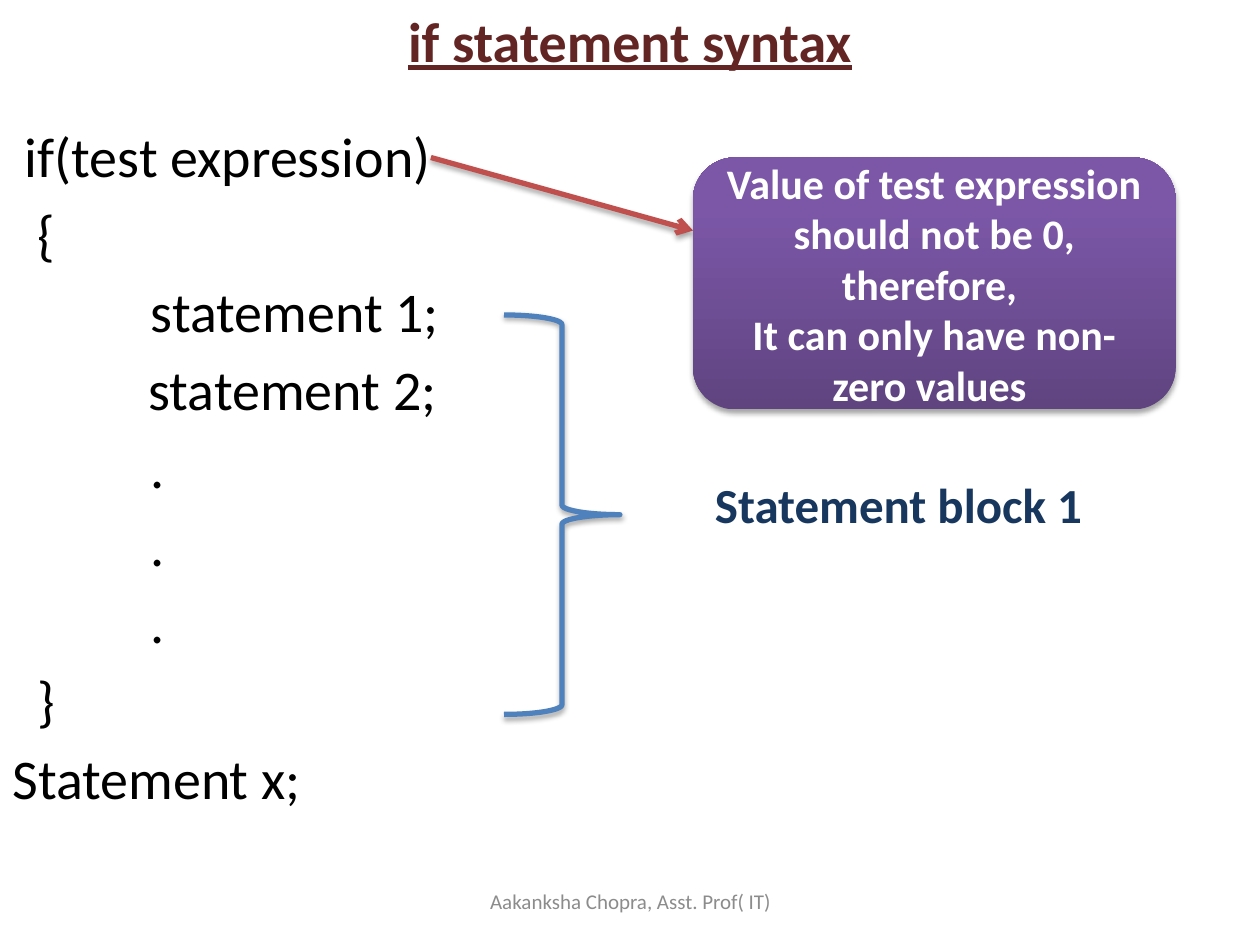
from lxml import etree
from pptx import Presentation
from pptx.dml.color import RGBColor
from pptx.enum.shapes import MSO_CONNECTOR, MSO_SHAPE
from pptx.enum.text import MSO_ANCHOR, PP_ALIGN
from pptx.oxml.ns import qn
from pptx.util import Inches, Pt

LEFT, CENTER = PP_ALIGN.LEFT, PP_ALIGN.CENTER
TOP, MIDDLE = MSO_ANCHOR.TOP, MSO_ANCHOR.MIDDLE
ROUND, BRACE = MSO_SHAPE.ROUNDED_RECTANGLE, MSO_SHAPE.RIGHT_BRACE
STRAIGHT = MSO_CONNECTOR.STRAIGHT

FONT = "Calibri"
BLACK = RGBColor(0x00, 0x00, 0x00)
WHITE = RGBColor(0xFF, 0xFF, 0xFF)
MAROON = RGBColor(0x63, 0x25, 0x23)
NAVY = RGBColor(0x17, 0x37, 0x5E)
BLUE = RGBColor(0x4F, 0x81, 0xBD)
RED = RGBColor(0xC0, 0x50, 0x4D)
GRAY = RGBColor(0x8C, 0x8C, 0x8C)
DARK = RGBColor(0x5F, 0x44, 0x80)
LIGHT = RGBColor(0x7C, 0x57, 0xA8)

# Code lines with their indents in inches
CODE = [
    ("if(test expression)", 0.1),
    ("{", 0.2),
    ("statement 1;", 1.1),
    ("statement 2;", 1.08),
    (".", 1.1),
    (".", 1.1),
    (".", 1.1),
    ("}", 0.2),
    ("Statement x;", 0),
]


def style(para, size, color, bold=False, align=CENTER):
    para.alignment = align
    for run in para.runs:
        font = run.font
        font.name, font.size, font.bold = FONT, Pt(size), bold
        font.color.rgb = color


def write(shape, text, size, color, bold=False):
    frame = shape.text_frame
    frame.text = text
    frame.word_wrap = True
    frame.vertical_anchor = MIDDLE
    for para in frame.paragraphs:
        style(para, size, color, bold)


def shade(shape):
    """Soft shadow straight below the shape."""
    props = shape._element.spPr
    effect = etree.SubElement(props, qn("a:effectLst"))
    outer = etree.SubElement(effect, qn("a:outerShdw"), blurRad="40000",
                             dist="23000", dir="5400000", rotWithShape="0")
    tint = etree.SubElement(outer, qn("a:srgbClr"), val="000000")
    etree.SubElement(tint, qn("a:alpha"), val="35000")


def add_code(slide, x, y, w, h):
    """Title with the code listing beneath it."""
    frame = slide.shapes.add_textbox(x, y, w, h).text_frame
    frame.word_wrap = True
    frame.vertical_anchor = TOP
    frame.text = "\n".join(["if statement syntax"] + [t for t, _ in CODE])
    title, *lines = frame.paragraphs
    style(title, 32, MAROON, True)
    title.runs[0].font.underline = True
    title.space_before = Pt(6)
    for para, (_, indent) in zip(lines, CODE):
        style(para, 32, BLACK, align=LEFT)
        para.space_before = Pt(6)
        para._p.get_or_add_pPr().set("marL", str(Inches(indent)))
    lines[0].space_before = Pt(27.5)


def add_block(slide, x, y, w, h):
    """Brace around the statements, and its label."""
    brace = slide.shapes.add_shape(BRACE, x, y, Inches(0.92), h)
    brace.fill.background()
    brace.line.color.rgb = BLUE
    brace.line.width = Pt(3)
    shade(brace)
    label = slide.shapes.add_textbox(x + Inches(1.17), y + Inches(0.75),
                                     w - Inches(1.17), Inches(1.5))
    write(label, "Statement block 1", 28, NAVY, True)


def add_note(slide, x, y, w, h):
    """Arrow from the condition to the purple note."""
    arrow = slide.shapes.add_connector(STRAIGHT, x - Inches(2.08), y,
                                       x, y + Inches(0.58))
    arrow.line.color.rgb = RED
    arrow.line.width = Pt(3)
    etree.SubElement(arrow.line._get_or_add_ln(), qn("a:tailEnd"), type="arrow")
    shade(arrow)

    note = slide.shapes.add_shape(ROUND, x, y, w, h)
    note.fill.gradient()
    note.fill.gradient_angle = 90
    low, high = note.fill.gradient_stops
    low.color.rgb, low.position = DARK, 0
    high.color.rgb, high.position = LIGHT, 0.8
    note.line.fill.background()
    shade(note)
    write(note, "Value of test expression should not be 0, therefore, \n"
                "It can only have non-zero values ", 24, WHITE, True)


def add_foot(slide, x, y, w, h):
    """Author line."""
    foot = slide.shapes.add_textbox(x, y, w, h)
    write(foot, "Aakanksha Chopra, Asst. Prof( IT)", 12, GRAY)


deck = Presentation()
deck.slide_width, deck.slide_height = Inches(10), Inches(7.5)
page = deck.slides.add_slide(deck.slide_layouts[6])

add_code(page, 0, 0, deck.slide_width, deck.slide_height)
add_block(page, Inches(4), Inches(2.5), Inches(5.09), Inches(3.17))
add_note(page, Inches(5.5), Inches(1.25), Inches(3.83), Inches(2))
add_foot(page, Inches(3.42), Inches(6.95), Inches(3.17), Inches(0.4))

deck.save("out.pptx")
